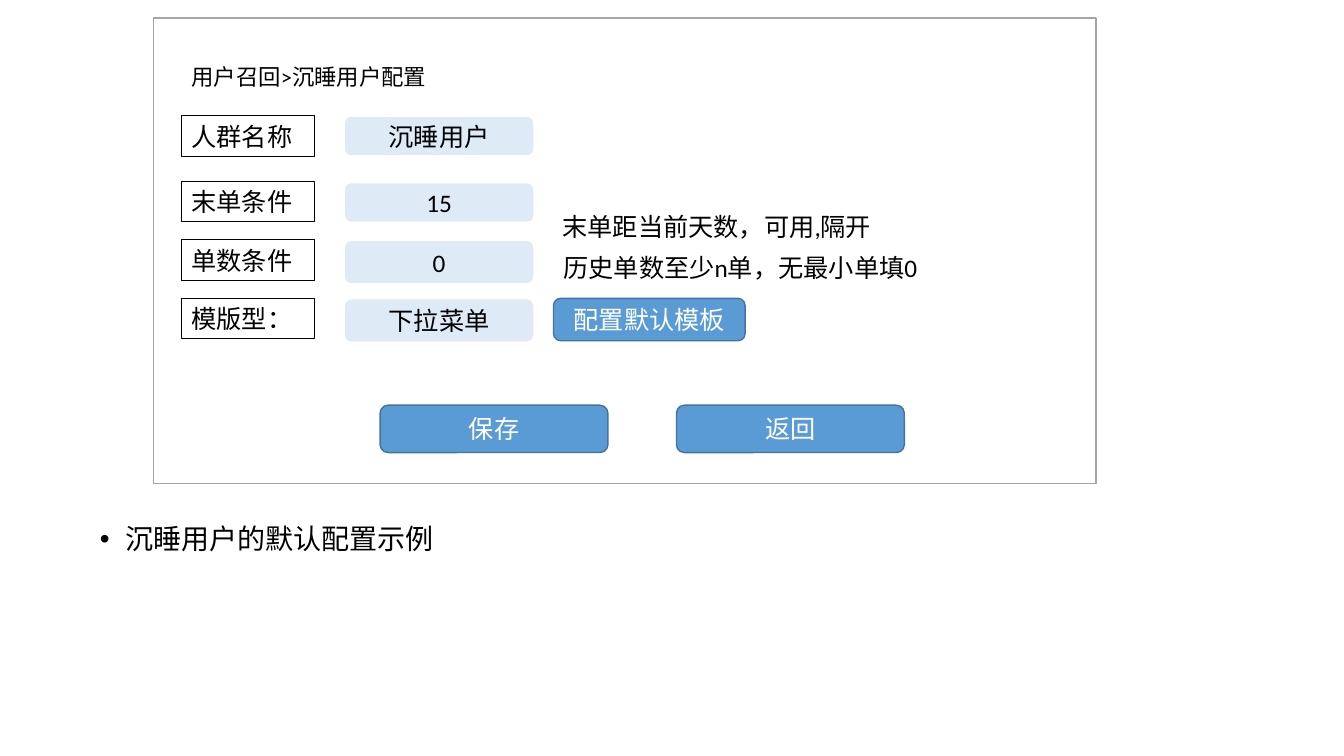
"""Build the settings slide for recalling dormant users."""
from pptx import Presentation
from pptx.dml.color import RGBColor
from pptx.enum.shapes import MSO_SHAPE
from pptx.enum.text import MSO_ANCHOR, MSO_AUTO_SIZE, PP_ALIGN
from pptx.util import Pt

PX = 9144


def write(shape, text, size=18, color="000000", align=PP_ALIGN.LEFT,
          anchor=MSO_ANCHOR.MIDDLE):
    """Fill a shape with one formatted paragraph and return it."""
    frame = shape.text_frame
    frame.text = text
    frame.word_wrap = True
    frame.auto_size = MSO_AUTO_SIZE.NONE
    frame.vertical_anchor = anchor
    para = frame.paragraphs[0]
    para.alignment = align
    para.font.name = "Calibri"
    para.font.size = Pt(size)
    para.font.color.rgb = RGBColor.from_string(color)
    return para


def draw(kind, box, fill, line, width):
    """Add a filled and outlined shape without a shadow."""
    shape = slide.shapes.add_shape(kind, *[n * PX for n in box])
    shape.shadow.inherit = False
    shape.fill.solid()
    shape.fill.fore_color.rgb = RGBColor.from_string(fill)
    shape.line.color.rgb = RGBColor.from_string(line)
    shape.line.width = Pt(width)
    return shape


deck = Presentation()
deck.slide_width, deck.slide_height = 1333 * PX, 750 * PX
slide = deck.slides.add_slide(deck.slide_layouts[1])
title, body = slide.shapes.title, slide.placeholders[1]

for holder, box in [(title, (180, 46, 538, 64)), (body, (89, 516, 1043, 175))]:
    holder.left, holder.top, holder.width, holder.height = [n * PX for n in box]

panel = draw(MSO_SHAPE.RECTANGLE, (152, 18, 935, 462), "FFFFFF", "A5A5A5", 1)
panel.element.addnext(title.element)
write(title, "用户召回>沉睡用户配置", 16).line_spacing = 0.9

item = write(body, "沉睡用户的默认配置示例", 20, anchor=MSO_ANCHOR.TOP)
item.line_spacing = 0.9
item.space_before = Pt(10)
props = item._p.get_or_add_pPr()
props.set("marL", str(25 * PX))
props.set("indent", str(-25 * PX))

rows = [
    ("人群名称", "沉睡用户", 115, 115, 40),
    ("末单条件", "15", 180, 181, 40),
    ("单数条件", "0", 238, 238, 44),
    ("模版型：", "下拉菜单", 296, 296, 44),
]
for label, value, top, y, high in rows:
    tag = slide.shapes.add_textbox(180 * PX, top * PX, 132 * PX, 40 * PX)
    tag.line.color.rgb = RGBColor.from_string("000000")
    tag.line.width = Pt(0.75)
    write(tag, label, anchor=MSO_ANCHOR.TOP)
    field = draw(MSO_SHAPE.ROUNDED_RECTANGLE, (341, y, 189, high),
                 "DEEBF7", "FFFFFF", 1.5)
    write(field, value, align=PP_ALIGN.CENTER)

buttons = [
    ("配置默认模板", (549, 296, 190, 42)),
    ("保存", (377, 402, 226, 47)),
    ("返回", (671, 402, 226, 47)),
]
for text, box in buttons:
    button = draw(MSO_SHAPE.ROUNDED_RECTANGLE, box, "5B9BD5", "43739E", 1)
    write(button, text, color="FFFFFF", align=PP_ALIGN.CENTER)

notes = [
    ("末单距当前天数，可用,隔开", (548, 205, 341, 40)),
    ("历史单数至少n单，无最小单填0", (549, 245, 415, 40)),
]
for text, box in notes:
    note = slide.shapes.add_textbox(*[n * PX for n in box])
    write(note, text, anchor=MSO_ANCHOR.TOP)

deck.save("out.pptx")
